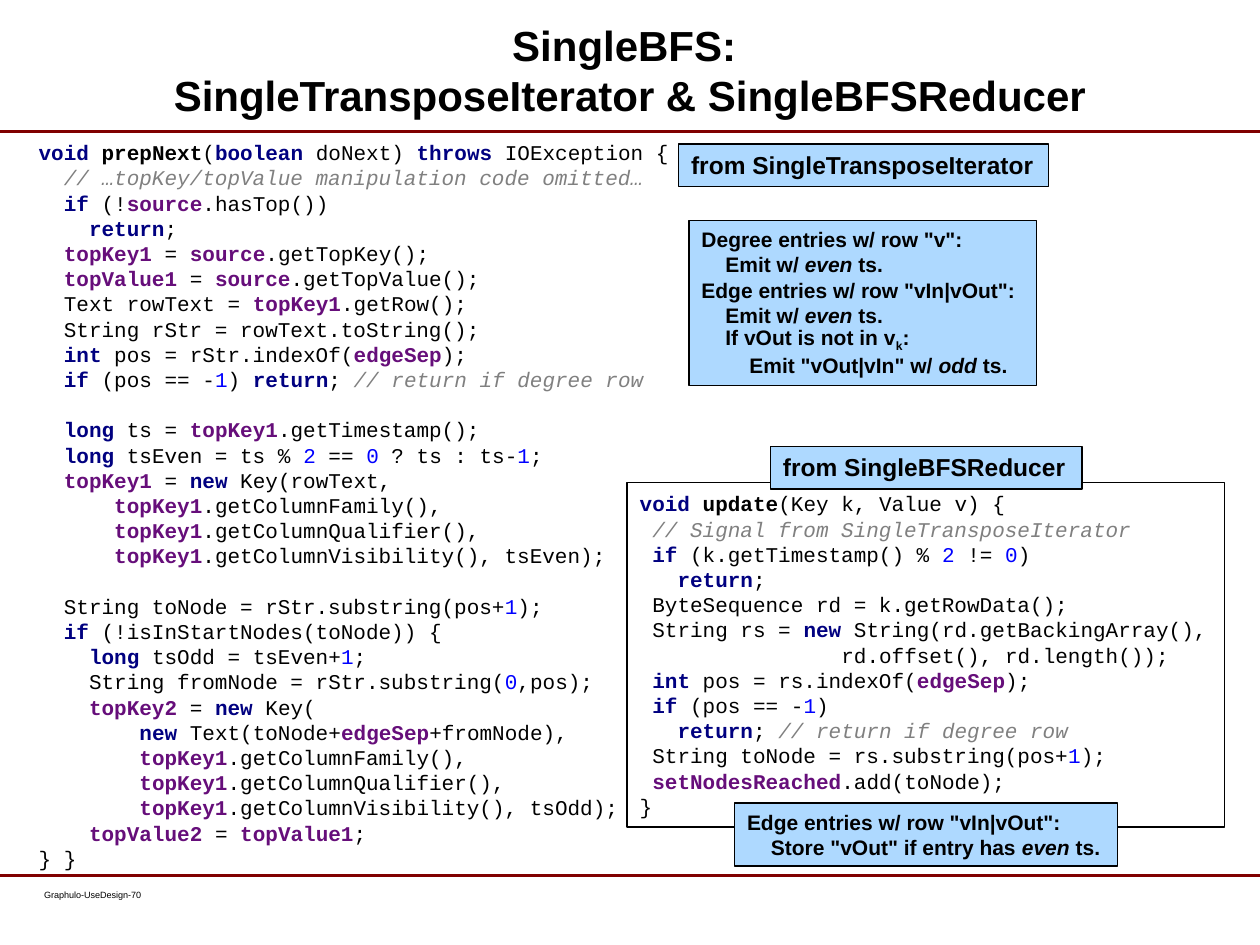
import itertools

import pptx
import pptx.dml.color
import pptx.enum.shapes
import pptx.enum.text
import pptx.oxml.ns
import pptx.util
from lxml import etree

Pt = pptx.util.Pt
ANCHOR = pptx.enum.text.MSO_ANCHOR
ALIGN = pptx.enum.text.PP_ALIGN

BLACK, RULE_RED, NOTE_BLUE = "000000", "800000", "AED9FF"
CODE_SIZE = 12
CHARACTER_WIDTH = 0.6 * CODE_SIZE
NOTE_INDENT = 13.7
LINE_HEIGHT = 1.2

KEYWORDS = {"void", "boolean", "throws", "if", "return", "int", "long", "new"}
FIELDS = {"source", "topKey1", "topKey2", "topValue1", "topValue2", "edgeSep", "setNodesReached"}
METHODS = {"prepNext", "update"}

# Styles are (colour, bold, italic)
PLAIN = (BLACK, False, False)
STRONG = (BLACK, True, False)
EMPHASIS = (BLACK, True, True)
KEYWORD = ("000080", True, False)
FIELD = ("660E7A", True, False)
NUMBER = ("0000FF", False, False)
COMMENT = ("808080", False, True)

TITLE = ["SingleBFS: ", "SingleTransposeIterator & SingleBFSReducer"]
FOOTER = "Graphulo-UseDesign-70"
RULE_TOPS = (75, 500.3)

# Leading spaces become paragraph indents; an empty line becomes space before the next
PREP_NEXT = [
    "void prepNext(boolean doNext) throws IOException {",
    "  // …topKey/topValue manipulation code omitted…",
    "  if (!source.hasTop())",
    "    return;",
    "  topKey1 = source.getTopKey();",
    "  topValue1 = source.getTopValue();",
    "  Text rowText = topKey1.getRow();",
    "  String rStr = rowText.toString();",
    "  int pos = rStr.indexOf(edgeSep);",
    "  if (pos == -1) return; // return if degree row",
    "",
    "  long ts = topKey1.getTimestamp();",
    "  long tsEven = ts % 2 == 0 ? ts : ts-1;",
    "  topKey1 = new Key(rowText,",
    "      topKey1.getColumnFamily(),",
    "      topKey1.getColumnQualifier(),",
    "      topKey1.getColumnVisibility(), tsEven);",
    "",
    "  String toNode = rStr.substring(pos+1);",
    "  if (!isInStartNodes(toNode)) {",
    "    long tsOdd = tsEven+1;",
    "    String fromNode = rStr.substring(0,pos);",
    "    topKey2 = new Key(",
    "        new Text(toNode+edgeSep+fromNode),",
    "        topKey1.getColumnFamily(),",
    "        topKey1.getColumnQualifier(),",
    "        topKey1.getColumnVisibility(), tsOdd);",
    "    topValue2 = topValue1;",
    "} }",
]

UPDATE = [
    "void update(Key k, Value v) {",
    " // Signal from SingleTransposeIterator",
    " if (k.getTimestamp() % 2 != 0)",
    "   return;",
    " ByteSequence rd = k.getRowData();",
    " String rs = new String(rd.getBackingArray(),",
    "                rd.offset(), rd.length());",
    " int pos = rs.indexOf(edgeSep);",
    " if (pos == -1)",
    "   return; // return if degree row",
    " String toNode = rs.substring(pos+1);",
    " setNodesReached.add(toNode);",
    "}",
]

# Notes: (left, top, width, height), size, lines of (level, text);
# *...* is italic and ~...~ is subscript
NOTES = [
    ((393.8, 126, 198.7, 94.3), 12, [
        (0, 'Degree entries w/ row "v":'),
        (1, "Emit w/ *even* ts."),
        (0, 'Edge entries w/ row "vIn|vOut":'),
        (1, "Emit w/ *even* ts."),
        (1, "If vOut is not in v~k~:"),
        (2, 'Emit "vOut|vIn" w/ *odd* ts.'),
    ]),
    ((419.8, 458.9, 218.9, 36), 12, [
        (0, 'Edge entries w/ row "vIn|vOut":'),
        (1, 'Store "vOut" if entry has *even* ts.'),
    ]),
    ((387.8, 82.3, 211.5, 24.4), 14, [(0, "from SingleTransposeIterator")]),
    ((440.3, 255, 178, 24.4), 14, [(0, "from SingleBFSReducer")]),
]


def rgb(colour):
    return pptx.dml.color.RGBColor.from_string(colour)


def add_box(slide, box, fill=None, line_width=0.75, anchor=ANCHOR.TOP):
    """Add a rectangle, or a bare text box when there is no fill; return its text frame."""
    position = [Pt(value) for value in box]
    if fill:
        shape = slide.shapes.add_shape(pptx.enum.shapes.MSO_SHAPE.RECTANGLE, *position)
        shape.shadow.inherit = False
        shape.fill.solid()
        shape.fill.fore_color.rgb = rgb(fill)
        shape.line.color.rgb = rgb(BLACK)
        shape.line.width = Pt(line_width)
    else:
        shape = slide.shapes.add_textbox(*position)
    frame = shape.text_frame
    frame.word_wrap = True
    frame.vertical_anchor = anchor
    return frame


def add_paragraph(frame, runs, font_name, size, indent=0, space_before=0, align=ALIGN.LEFT):
    """Fill the frame's next paragraph with (text, style, is_subscript) runs."""
    paragraph = frame.paragraphs[0]
    if paragraph.runs:
        paragraph = frame.add_paragraph()
    paragraph.alignment = align
    paragraph.line_spacing = Pt(size * LINE_HEIGHT)
    paragraph.space_before = Pt(space_before)
    paragraph.font.name = font_name
    paragraph.font.size = Pt(size)
    properties = paragraph._p.get_or_add_pPr()
    properties.set("marL", str(int(Pt(indent))))
    properties.set("indent", "0")
    for text, (colour, bold, italic), is_subscript in runs:
        run = paragraph.add_run()
        run.text = text
        run.font.color.rgb = rgb(colour)
        run.font.bold = bold
        run.font.italic = italic
        if is_subscript:
            run._r.get_or_add_rPr().set("baseline", "-25000")


def token_style(token):
    if token in KEYWORDS:
        return KEYWORD
    if token in FIELDS:
        return FIELD
    if token in METHODS:
        return STRONG
    return NUMBER if token.isdigit() else PLAIN


def highlight(line):
    """Split a line of code into runs of one style each."""
    code, slashes, comment = line.partition("//")
    tokens = ["".join(group) for _, group in itertools.groupby(code, str.isalnum)]
    runs = [("".join(group), style, False)
            for style, group in itertools.groupby(tokens, token_style)]
    return runs + [(slashes + comment, COMMENT, False)] if slashes else runs


def add_code(frame, lines):
    gap = 0
    for line in lines:
        if not line:
            gap = CODE_SIZE * LINE_HEIGHT
            continue
        text = line.lstrip()
        indent = (len(line) - len(text)) * CHARACTER_WIDTH
        add_paragraph(frame, highlight(text), "Courier New", CODE_SIZE, indent, gap)
        gap = 0


def note_runs(text):
    runs = []
    for i, part in enumerate(text.split("*")):
        style = EMPHASIS if i % 2 else STRONG
        runs += [(piece, style, j % 2 == 1) for j, piece in enumerate(part.split("~"))]
    return runs


def add_rule(slide, top):
    rule = slide.shapes.add_connector(
        pptx.enum.shapes.MSO_CONNECTOR.STRAIGHT, Pt(0), Pt(top), Pt(720), Pt(top))
    rule.line.color.rgb = rgb(RULE_RED)
    rule.line.width = Pt(1.75)
    etree.SubElement(rule._element.spPr, pptx.oxml.ns.qn("a:effectLst"))


def main():
    presentation = pptx.Presentation()
    presentation.slide_width, presentation.slide_height = Pt(720), Pt(540)
    slide = presentation.slides.add_slide(presentation.slide_layouts[6])

    for top in RULE_TOPS:
        add_rule(slide, top)
    footer = add_box(slide, (25.2, 508.3, 85.7, 17.3))
    footer.margin_left = footer.margin_right = footer.margin_top = footer.margin_bottom = 0
    add_paragraph(footer, [(FOOTER, PLAIN, False)], "Arial", 5.2)
    title = add_box(slide, (74.2, 7.9, 571.7, 64.1), anchor=ANCHOR.MIDDLE)
    for line in TITLE:
        add_paragraph(title, [(line, STRONG, False)], "Arial", 24, align=ALIGN.CENTER)

    add_code(add_box(slide, (15, 74.2, 381, 429), anchor=ANCHOR.MIDDLE), PREP_NEXT)
    add_code(add_box(slide, (358.5, 275.8, 341.3, 196.6), "FFFFFF", 1, ANCHOR.MIDDLE), UPDATE)
    for box, size, lines in NOTES:
        frame = add_box(slide, box, NOTE_BLUE)
        for level, text in lines:
            add_paragraph(frame, note_runs(text), "Arial", size, level * NOTE_INDENT)

    presentation.save("out.pptx")


if __name__ == "__main__":
    main()
